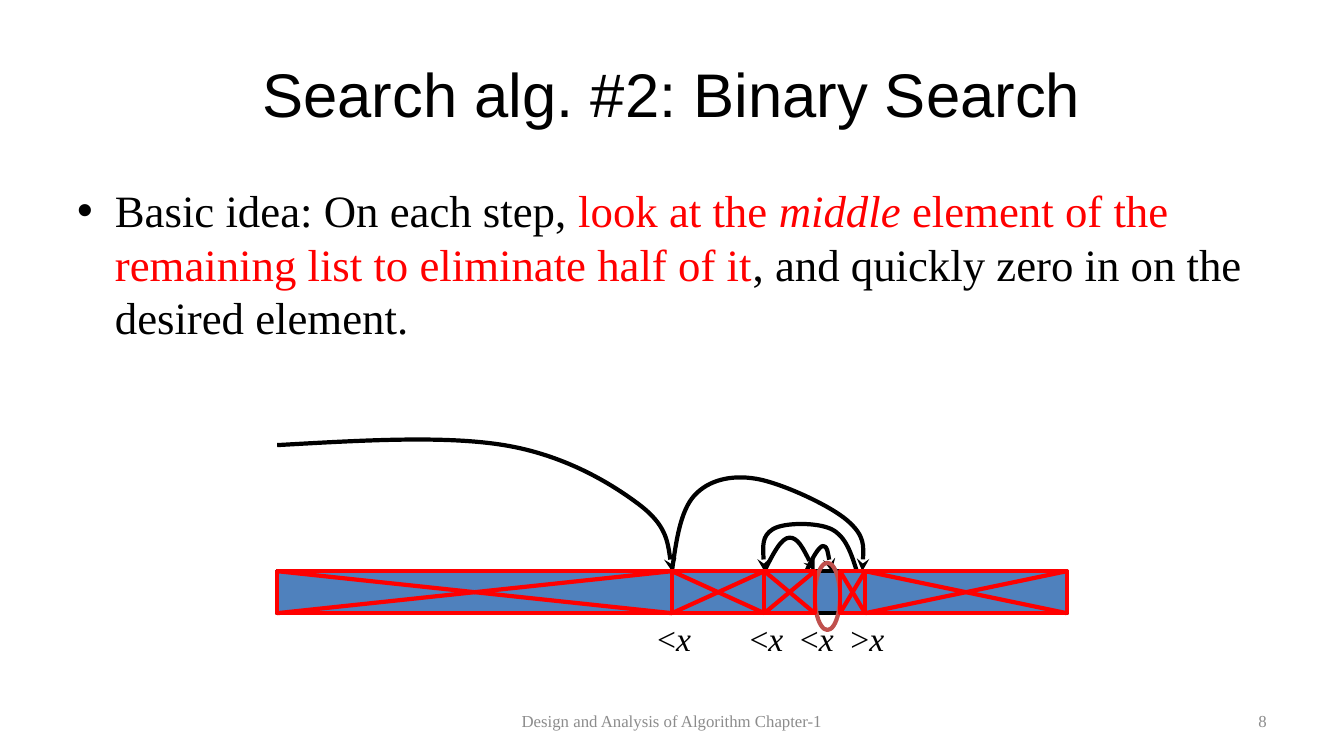
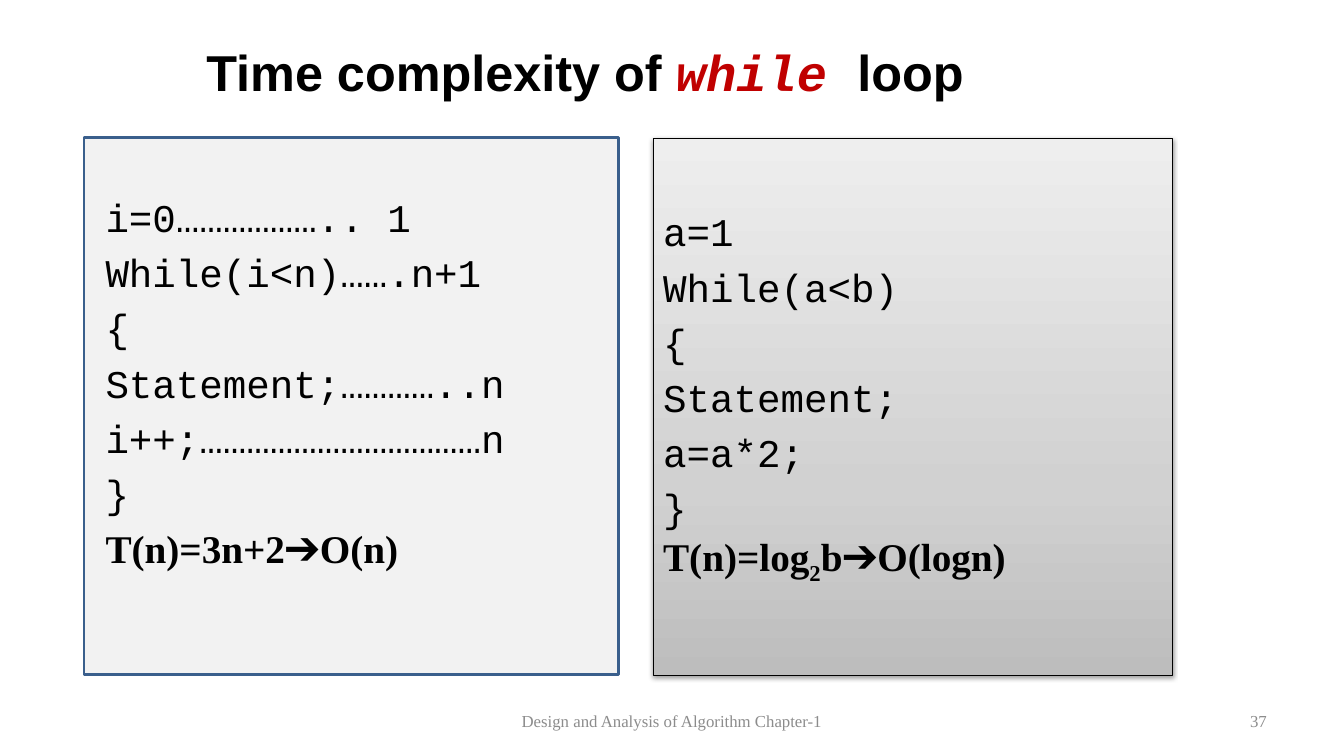
from lxml import etree
from pptx import Presentation
from pptx.dml.color import RGBColor
from pptx.enum.shapes import MSO_CONNECTOR, MSO_SHAPE
from pptx.enum.text import MSO_ANCHOR, MSO_AUTO_SIZE, PP_ALIGN
from pptx.oxml.ns import qn
from pptx.util import Pt

RECTANGLE, OVAL = MSO_SHAPE.RECTANGLE, MSO_SHAPE.OVAL
STRAIGHT = MSO_CONNECTOR.STRAIGHT
TOP, MIDDLE = MSO_ANCHOR.TOP, MSO_ANCHOR.MIDDLE
LEFT, CENTER, RIGHT = PP_ALIGN.LEFT, PP_ALIGN.CENTER, PP_ALIGN.RIGHT
GROW = MSO_AUTO_SIZE.SHAPE_TO_FIT_TEXT

COLORS = {
    "text": "000000", "muted": "8C8C8C", "highlight": "FF0000",
    "keyword": "C00000", "bar": "4F81BD", "found": "C0504D",
    "panel": "F2F2F2", "panel_line": "3A5F8C",
}
PANEL_GRADIENT = [(0, "BDBDBD"), (35, "D1D1D1"), (100, "EEEEEE")]
SANS, SERIF, MONO = "Arial", "Times New Roman", "Courier New"
TITLE_ONLY = 5
FOOTER = "Design and Analysis of Algorithm Chapter-1"

# Binary search bar: cell edges and probe curves, relative to its top left
BAR_WIDTH, BAR_HEIGHT = 564, 30
ELIMINATED = [(0, 282), (420, 564), (282, 348), (348, 384), (402, 420)]
COMPARISONS = [(282, "<"), (348, "<"), (384, "<"), (420, ">")]
# Each curve: a start point, then two control points and an end per segment
PROBES = [
    [(0, -90), (60, -93.4), (119, -97), (162, -90), (205, -83), (238, -63),
     (258, -48), (278, -33), (280, -16), (282, 0)],
    [(282, 0), (285, -21.5), (288, -43), (298, -54), (308, -65), (324, -69),
     (342, -66), (360, -63), (395, -47), (407.5, -36), (420, -25), (419, -13),
     (418, 0)],
    [(414, 0), (410, -13), (406, -25), (396, -30), (386, -35), (362, -35),
     (354, -30), (346, -25), (347, -13), (348, 0)],
    [(348, 0), (354, -12), (360, -24), (366, -24), (372, -24), (378, -12),
     (384, 0)],
    [(378, 0), (382, -9), (387, -18), (390, -18), (393, -18), (394, -9),
     (396, 0)],
]


def rgb(name):
    return RGBColor.from_string(COLORS[name])


def place(shape, left, top, width, height):
    shape.left, shape.top = Pt(left), Pt(top)
    shape.width, shape.height = Pt(width), Pt(height)


def add_run(paragraph, text, font=SERIF, size=12, color="text", bold=False,
            italic=False, baseline=0):
    run = paragraph.add_run()
    run.text = text
    run.font.name, run.font.size = font, Pt(size)
    run.font.bold, run.font.italic = bold, italic
    run.font.color.rgb = rgb(color)
    if baseline:
        run.font._element.set("baseline", str(baseline * 1000))


def write(frame, paragraphs, align=LEFT, anchor=TOP, wrap=True,
          line_spacing=None, **style):
    """Write paragraphs, each a list of (text, style overrides) runs."""
    frame.word_wrap, frame.vertical_anchor = wrap, anchor
    for index, runs in enumerate(paragraphs):
        paragraph = frame.add_paragraph() if index else frame.paragraphs[0]
        paragraph.alignment = align
        if line_spacing:
            paragraph.line_spacing = Pt(line_spacing)
        for text, overrides in runs:
            add_run(paragraph, text, **{**style, **overrides})


def add_text(slide, box, paragraphs, **style):
    shape = slide.shapes.add_textbox(*map(Pt, box))
    write(shape.text_frame, paragraphs, **style)
    return shape


def add_preset(shapes, preset, box, fill, line, line_width=3):
    shape = shapes.add_shape(preset, *map(Pt, box))
    shape.shadow.inherit = False
    if fill:
        shape.fill.solid()
        shape.fill.fore_color.rgb = rgb(fill)
    else:
        shape.fill.background()
    shape.line.color.rgb = rgb(line)
    shape.line.width = Pt(line_width)
    return shape


def add_line(shapes, start, end, color):
    line = shapes.add_connector(STRAIGHT, *map(Pt, start + end))
    line.line.color.rgb = rgb(color)
    line.line.width = Pt(3)
    etree.SubElement(line._element.spPr, qn("a:effectLst"))


def add_curve_arrow(slide, points):
    corners = [(Pt(x), Pt(y)) for x, y in points]
    builder = slide.shapes.build_freeform(*corners[0], scale=1.0)
    builder.add_line_segments(corners[1:], close=False)
    curve = builder.convert_to_shape()
    curve.shadow.inherit = False
    curve.fill.background()
    curve.line.color.rgb = rgb("text")
    curve.line.width = Pt(3)
    etree.SubElement(curve.line._get_or_add_ln(), qn("a:tailEnd"),
                     type="stealth")
    # Turn every three straight segments into one Bézier segment
    outline = next(curve._element.iter(qn("a:path")))
    segments = outline.findall(qn("a:lnTo"))
    for index in range(0, len(segments), 3):
        bezier = etree.SubElement(outline, qn("a:cubicBezTo"))
        for segment in segments[index:index + 3]:
            bezier.append(segment[0])
            outline.remove(segment)


def add_crossed_cell(slide, left, top, width, height):
    shapes = slide.shapes.add_group_shape().shapes
    right, bottom = left + width, top + height
    add_line(shapes, (left, top), (right, bottom), "highlight")
    add_line(shapes, (left, bottom), (right, top), "highlight")
    add_preset(shapes, RECTANGLE, (left, top, width, height), None, "highlight")


def add_titled_slide(presentation, title_box, title_runs, number, **title_style):
    slide = presentation.slides.add_slide(presentation.slide_layouts[TITLE_ONLY])
    title = slide.shapes.title
    place(title, *title_box)
    write(title.text_frame, [title_runs], align=CENTER, anchor=MIDDLE,
          font=SANS, **title_style)
    for box, text, align in [((328, 500.4, 304, 28.8), FOOTER, CENTER),
                             ((688, 500.4, 224, 28.8), number, RIGHT)]:
        add_text(slide, box, [[(text, {})]], align=align, anchor=MIDDLE,
                 color="muted")
    return slide


def add_search_diagram(slide, left, top):
    add_preset(slide.shapes, RECTANGLE, (left, top, BAR_WIDTH, BAR_HEIGHT),
               "bar", "text")
    for probe in PROBES:
        add_curve_arrow(slide, [(left + x, top + y) for x, y in probe])
    # Found element
    add_preset(slide.shapes, OVAL, (left + 384, top - 6, 18, 48), None, "found")
    for start, end in ELIMINATED:
        add_crossed_cell(slide, left + start, top, end - start, BAR_HEIGHT)
    for edge, sign in COMPARISONS:
        label = add_text(slide, (left + edge - 18, top + BAR_HEIGHT, 39, 36),
                         [[(sign, {}), ("x", {"italic": True})]], size=24,
                         align=CENTER, anchor=MIDDLE, wrap=False)
        label.text_frame.auto_size = GROW


def add_code_panel(slide, box, code, result, margin_left, margin_top,
                   fill, line, line_width):
    panel = add_preset(slide.shapes, RECTANGLE, box, fill, line, line_width)
    frame = panel.text_frame
    frame.margin_left, frame.margin_top = Pt(margin_left), Pt(margin_top)
    result_runs = [(text, {"font": SERIF, "bold": True, **overrides})
                   for text, overrides in result]
    write(frame, [[(text, {})] for text in code] + [result_runs],
          font=MONO, size=28, line_spacing=39.4)
    return panel


def add_gradient_and_shadow(panel):
    panel.fill.gradient()
    panel.fill.gradient_angle = 90
    stops = next(panel._element.iter(qn("a:gsLst")))
    for stop in list(stops):
        stops.remove(stop)
    for position, color in PANEL_GRADIENT:
        stop = etree.SubElement(stops, qn("a:gs"), pos=str(position * 1000))
        etree.SubElement(stop, qn("a:srgbClr"), val=color)
    effects = panel._element.spPr.find(qn("a:effectLst"))
    shadow = etree.SubElement(effects, qn("a:outerShdw"), blurRad=str(Pt(3.1)),
                              dist=str(Pt(1.6)), dir="5400000", rotWithShape="0")
    color = etree.SubElement(shadow, qn("a:srgbClr"), val=COLORS["text"])
    etree.SubElement(color, qn("a:alpha"), val="38000")


def build_binary_search(presentation):
    slide = add_titled_slide(presentation, (48, 21.6, 864, 90),
                             [("Search alg. #2: Binary Search", {})], "8",
                             size=44)
    red = {"color": "highlight"}
    body = add_text(slide, (48, 127.5, 864, 355), [[
        ("Basic idea: On each step, ", {}),
        ("look at the ", red),
        ("middle", {**red, "italic": True}),
        (" element of the remaining list to eliminate half of it", red),
        (", and quickly zero in on the desired element.", {}),
    ]], size=32, line_spacing=38.2)
    # Hanging bullet
    properties = body.text_frame.paragraphs[0]._p.get_or_add_pPr()
    properties.set("marL", str(Pt(27)))
    properties.set("indent", str(Pt(-27)))
    etree.SubElement(properties, qn("a:buFont"), typeface=SANS)
    etree.SubElement(properties, qn("a:buChar"), char="•")
    add_search_diagram(slide, 198, 408)


def build_while_loop(presentation):
    slide = add_titled_slide(
        presentation, (136.8, 21.6, 562.3, 59),
        [("Time complexity of ", {}),
         ("while ", {"font": MONO, "color": "keyword", "italic": True}),
         ("loop", {})], "37", size=36, bold=True)
    # Linear loop
    add_code_panel(
        slide, (60, 98, 381.6, 384),
        ["i=0……………….. 1", "While(i<n)…….n+1", "{", "Statement;…………..n",
         "i++;………………………………n", "}"],
        [("T(n)=3n+2➔O(n)", {})],
        margin_left=15.4, margin_top=34.4,
        fill="panel", line="panel_line", line_width=2)
    # Doubling loop
    panel = add_code_panel(
        slide, (466.6, 98.6, 370.8, 384),
        ["a=1", "While(a<b)", "{", "Statement;", "a=a*2;", "}"],
        [("T(n)=log", {}), ("2", {"baseline": -25}), ("b➔O(logn)", {})],
        margin_left=7.2, margin_top=44,
        fill="panel", line="text", line_width=0.75)
    add_gradient_and_shadow(panel)


def main():
    presentation = Presentation()
    presentation.slide_width, presentation.slide_height = Pt(960), Pt(540)
    build_binary_search(presentation)
    build_while_loop(presentation)
    presentation.save("out.pptx")


if __name__ == "__main__":
    main()
